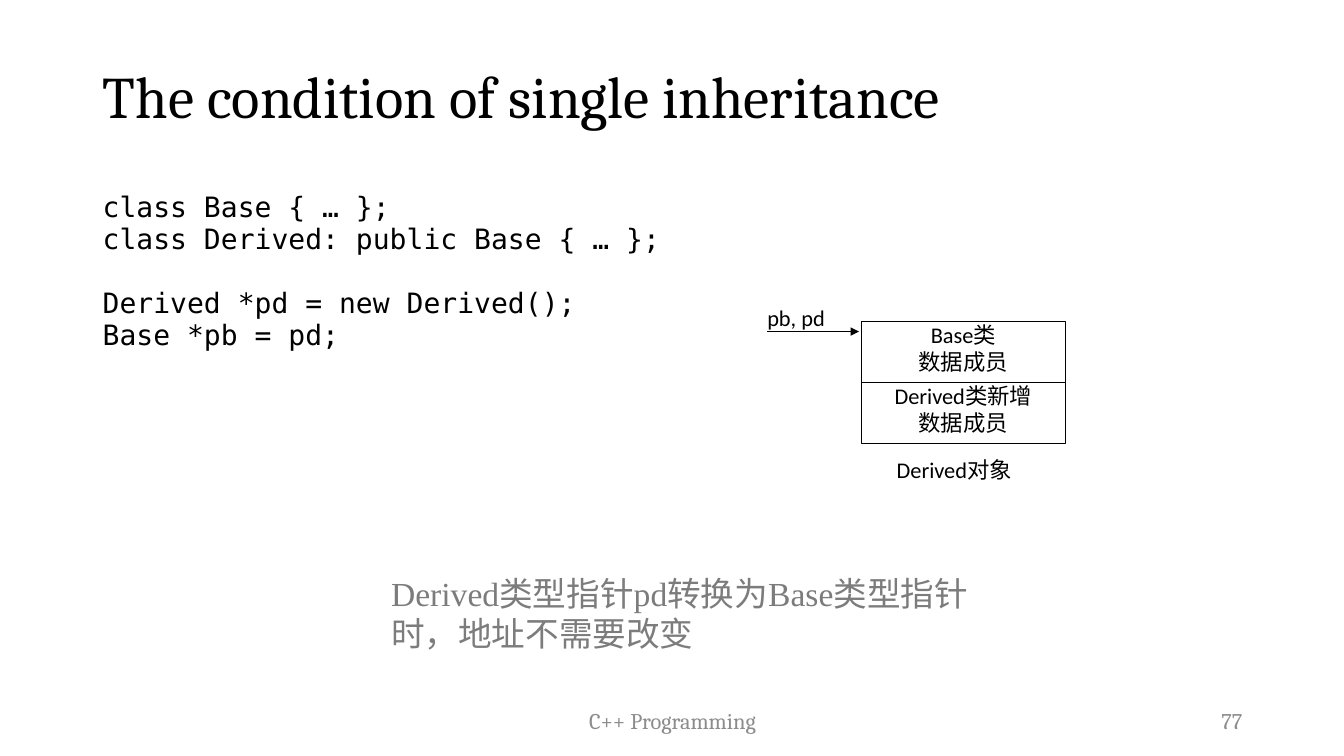
from lxml import etree
from pptx import Presentation
from pptx.enum import shapes, text
from pptx.oxml import ns
from pptx.util import Inches, Pt

COLORS = {"ink": "000000", "footer": "8C8C8C", "remark": "7C7C7C"}
ALIGN = text.PP_ALIGN
ANCHOR = text.MSO_ANCHOR


def set_font(font, name, size, color):
    """Apply a typeface, a point size and a named colour."""
    font.name = name
    font.size = Pt(size)
    font.color.rgb = font.color.rgb.from_string(COLORS[color]) if font.color.type else None


def write(shape, lines, name, size, color="ink", align=ALIGN.LEFT,
          anchor=ANCHOR.TOP, inset=None):
    """Fill a shape with one paragraph per line and return the paragraphs."""
    frame = shape.text_frame
    frame.word_wrap = True
    frame.auto_size = text.MSO_AUTO_SIZE.NONE
    frame.vertical_anchor = anchor
    if inset is not None:
        frame.margin_left = frame.margin_right = Inches(inset)
        frame.margin_top = frame.margin_bottom = Inches(inset)
    frame.text = "\n".join(lines)
    for para in frame.paragraphs:
        para.alignment = align
        para.font.name = name
        para.font.size = Pt(size)
        para.font.color.rgb = RGBColor.from_string(COLORS[color])
    return frame.paragraphs


def add_text(parent, box, lines, *style, **options):
    """Add a text box at the given left, top, width and height."""
    return write(parent.shapes.add_textbox(*map(Inches, box)), lines, *style, **options)


def add_title(page, box, title):
    """Place and format the title placeholder."""
    holder = page.shapes.title
    holder.left, holder.top, holder.width, holder.height = map(Inches, box)
    para, = write(holder, [title], "Cambria", 42, anchor=ANCHOR.MIDDLE)
    para.line_spacing = 0.9


def add_code(page, box, blocks):
    """Add blocks of code, set apart by one line of space."""
    paras = add_text(page, box, [line for block in blocks for line in block],
                     "DejaVu Sans Mono", 20)
    for para in paras:
        para.line_spacing = 0.95
        props = para._p.get_or_add_pPr()
        props.set("marL", str(Inches(0.25)))
        props.set("indent", str(Inches(-0.25)))
    start = 0
    for block in blocks[:-1]:
        start += len(block)
        paras[start].space_before = Pt(22.5)


def add_memory_diagram(page, box, cells, pointers, caption):
    """Draw stacked object cells, the pointer arrow and the caption."""
    left, top, width, height = box
    group = page.shapes.add_group_shape()
    row = height / len(cells)
    for index, lines in enumerate(cells):
        cell = group.shapes.add_shape(
            shapes.MSO_SHAPE.RECTANGLE,
            *map(Inches, (left, top + index * row, width, row)))
        cell.shadow.inherit = False
        cell.fill.background()
        draw_line(cell.line)
        write(cell, lines, "Calibri", 16, align=ALIGN.CENTER, inset=0)
    arrow_y = top + 0.1
    arrow = group.shapes.add_connector(
        shapes.MSO_CONNECTOR.STRAIGHT,
        *map(Inches, (left - 0.93, arrow_y, left - 0.02, arrow_y)))
    draw_line(arrow.line)
    etree.SubElement(arrow.line._get_or_add_ln(), ns.qn("a:tailEnd"), type="triangle")
    etree.SubElement(arrow._element.spPr, ns.qn("a:effectLst"))
    add_text(group, (left - 0.93, top - 0.17, 0.69, 0.36), [pointers],
             "Calibri", 16, align=ALIGN.JUSTIFY, inset=0)
    add_text(group, (left + 0.29, top + height + 0.13, 1.27, 0.32), [caption],
             "Calibri", 16, align=ALIGN.CENTER, inset=0)


def draw_line(line):
    """Give an outline or arrow the thin black stroke."""
    line.color.rgb = RGBColor.from_string(COLORS["ink"])
    line.width = Pt(0.75)


def add_footer(page, box, course, number):
    """Add the centred course name and the page number at the right."""
    left, top, width, height = box
    middle = 4.5
    add_text(page, (left + (width - middle) / 2, top, middle, height), [course],
             "Cambria", 16, "footer", ALIGN.CENTER, ANCHOR.MIDDLE)
    add_text(page, (left + width - 3, top, 3, height), [number],
             "Cambria", 16, "footer", ALIGN.RIGHT, ANCHOR.MIDDLE)


def main():
    """Build the slide and save the deck."""
    deck = Presentation()
    deck.slide_width, deck.slide_height = Inches(13.33), Inches(7.5)
    page = deck.slides.add_slide(deck.slide_layouts.get_by_name("Title Only"))
    add_title(page, (0.92, 0.26, 11.5, 1.45), "The condition of single inheritance")
    add_footer(page, (0.92, 6.95, 11.5, 0.4), "C++ Programming", "77")
    add_code(page, (0.92, 1.86, 11.5, 4.76), [
        ["class Base { … };", "class Derived: public Base { … };"],
        ["Derived *pd = new Derived();", "Base *pb = pd;"],
    ])
    add_memory_diagram(page, (8.54, 3.19, 2.03, 1.21),
                       [["Base类", "数据成员"], ["Derived类新增", "数据成员"]],
                       "pb, pd", "Derived对象")
    add_text(page, (3.78, 5.63, 6.15, 0.91),
             ["Derived类型指针pd转换为Base类型指针", "时，地址不需要改变"],
             "Times New Roman", 24, "remark")
    deck.save("out.pptx")


from pptx.dml.color import RGBColor

if __name__ == "__main__":
    main()
